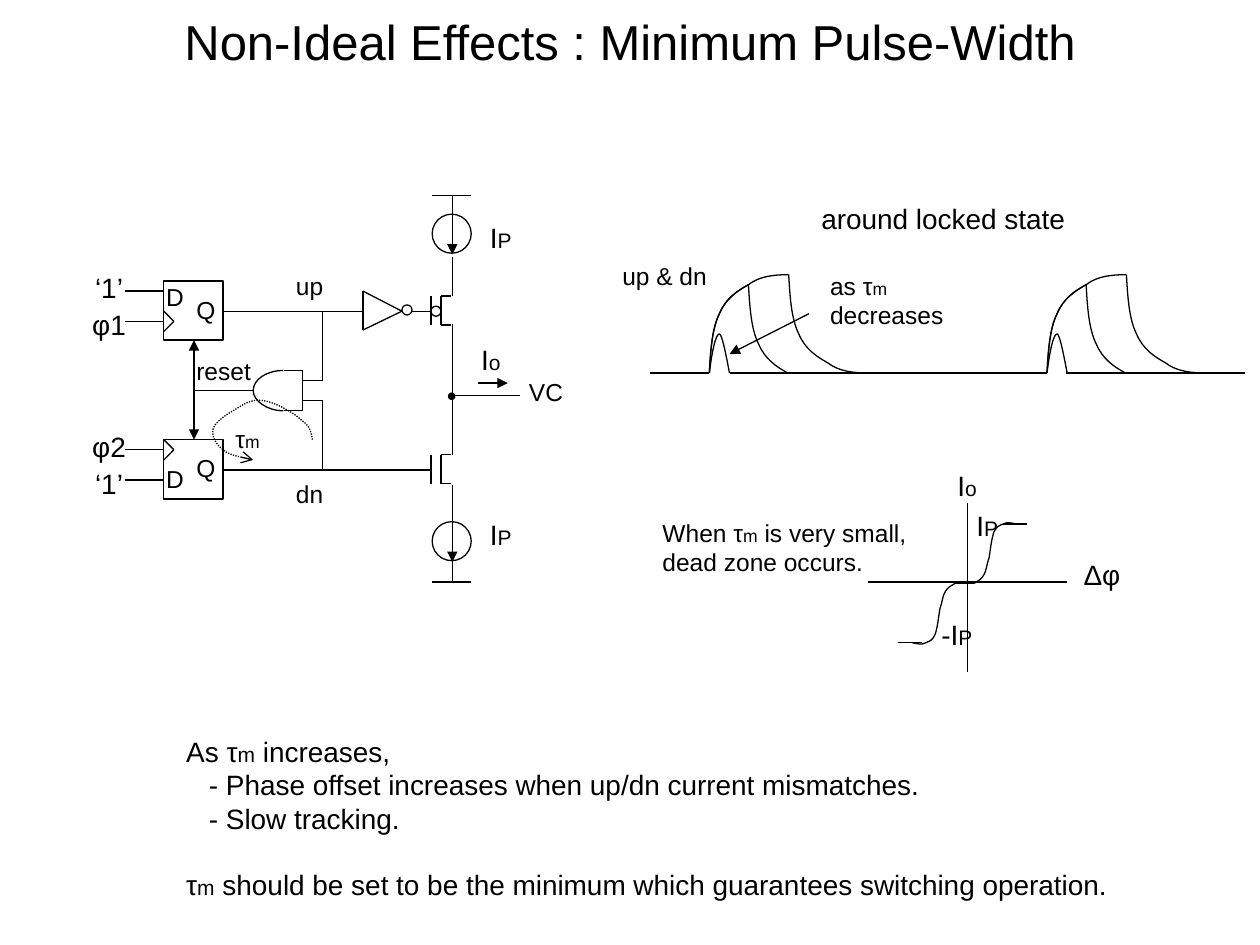
from dataclasses import dataclass
from typing import Any

from lxml.etree import SubElement
from pptx import Presentation
from pptx.dml.color import RGBColor
from pptx.enum.dml import MSO_LINE
from pptx.enum.shapes import MSO_CONNECTOR, MSO_SHAPE
from pptx.enum.text import PP_ALIGN
from pptx.oxml.ns import qn
from pptx.util import Pt

PX = 9144  # 100 px to the inch
INK = "000000"


def color(hex_value):
    return RGBColor.from_string(hex_value)


def outline(sp, head=None, tail=None, dash=None):
    sp.line.color.rgb = color(INK)
    sp.line.width = Pt(0.75)
    if dash:
        sp.line.dash_style = dash
    ln = sp._element.spPr.find(qn("a:ln"))
    for tag, kind in (("a:headEnd", head), ("a:tailEnd", tail)):
        if kind:
            SubElement(ln, qn(tag)).set("type", kind)


@dataclass
class Region:
    """A part of the slide with its own origin, in px."""
    s: Any
    x: int
    y: int

    def at(self, dx, dy):
        return Region(self.s, self.x + dx, self.y + dy)

    def emu(self, x, y):
        return (self.x + x) * PX, (self.y + y) * PX

    def line(self, x1, y1, x2, y2, head=None, tail=None):
        sp = self.s.shapes.add_connector(
            MSO_CONNECTOR.STRAIGHT, *self.emu(x1, y1), *self.emu(x2, y2))
        outline(sp, head, tail)
        SubElement(sp._element.spPr, qn("a:effectLst"))

    def shape(self, kind, x, y, size, fill=None):
        sp = self.s.shapes.add_shape(kind, *self.emu(x, y), size * PX, size * PX)
        sp.shadow.inherit = False
        if fill:
            sp.fill.solid()
            sp.fill.fore_color.rgb = color(fill)
        else:
            sp.fill.background()
        outline(sp)

    def curve(self, points, tail=None, dash=None):
        """Start point, then three points for each Bezier segment."""
        start, *rest = [(self.x + x, self.y + y) for x, y in points]
        builder = self.s.shapes.build_freeform(*start, scale=PX)
        builder.add_line_segments(rest, close=False)
        sp = builder.convert_to_shape()
        path = next(sp._element.iter(qn("a:path")))
        steps = path.findall(qn("a:lnTo"))
        for i in range(0, len(steps), 3):
            bezier = SubElement(path, qn("a:cubicBezTo"))
            for step in steps[i:i + 3]:
                bezier.append(step[0])
                path.remove(step)
        sp.shadow.inherit = False
        sp.fill.background()
        outline(sp, tail=tail, dash=dash)

    def text(self, x, y, w, h, lines, size=14, align=PP_ALIGN.LEFT, wrap=True):
        """Text between bars is set four points smaller."""
        box = self.s.shapes.add_textbox(*self.emu(x, y), w * PX, h * PX)
        tf = box.text_frame
        tf.word_wrap = wrap
        for i, line in enumerate(lines.split("\n")):
            p = tf.paragraphs[0] if i == 0 else tf.add_paragraph()
            p.alignment = align
            p.font.name, p.font.size = "Arial", Pt(size)
            p.font.color.rgb = color(INK)
            for j, part in enumerate(line.split("|")):
                if part:
                    r = p.add_run()
                    r.text = part
                    if j % 2:
                        r.font.size = Pt(size - 4)
        return tf

    def label(self, x, y, w, words):
        self.text(x, y, w, 37, words, 16, PP_ALIGN.CENTER)


def flip_flop(box, clock, clock_low):
    box.shape(MSO_SHAPE.RECTANGLE, 0, 0, 47)
    clock_y, data_y = (32, 8) if clock_low else (8, 32)
    clock_text, data_text = (16, -13) if clock_low else (-13, 16)
    for dy in (-8, 8):
        box.line(0, clock_y + dy, 8, clock_y)
    for y in (clock_y, data_y):
        box.line(-31, y, 0, y)
    box.text(-8, -4 if clock_low else 14, 39, 33, "D")
    box.text(16, 6, 39, 33, "Q")
    box.label(-71, clock_text, 55, clock)
    box.label(-71, data_text, 55, "‘1’")


def current_source(box, rail_y, wire_y, label_y):
    box.line(0, rail_y, 31, rail_y)
    box.line(16, wire_y, 16, rail_y)
    box.shape(MSO_SHAPE.OVAL, 0, 0, 31)
    box.line(16, 0, 16, 32, tail="triangle")
    box.label(31, label_y, 47, "I|P")


def transistor(box):
    for x in (0, 8):
        box.line(x, 0, x, 23)
    for y in (0, 23):
        box.line(8, y, 16, y)


def inverter(box):
    box.line(0, 0, 0, 31)
    box.line(0, 0, 31, 16)
    box.line(0, 31, 31, 16)
    box.shape(MSO_SHAPE.OVAL, 31, 11, 8)


def and_gate(box):
    box.curve([(24, 0), (11, 0), (0, 7), (0, 16), (0, 24), (11, 32), (24, 32)])
    for y in (0, 32):
        box.line(24, y, 39, y)
    box.line(39, 0, 39, 32)


def circuit(box):
    flip_flop(box.at(80, 73), "φ1", clock_low=True)
    flip_flop(box.at(80, 199), "φ2", clock_low=False)
    inverter(box.at(238, 81))
    and_gate(box.at(151, 144))
    # Output branch
    current_source(box.at(293, 20), -15, 0, 0)
    current_source(box.at(293, 264), 48, 31, -8)
    transistor(box.at(292, 85))
    box.shape(MSO_SHAPE.OVAL, 292, 93, 8)
    transistor(box.at(292, 211))
    for top, bottom in ((54, 85), (107, 211), (235, 266)):
        box.line(309, top, 309, bottom)
    box.line(309, 164, 363, 164)
    box.shape(MSO_SHAPE.OVAL, 306, 162, 5, INK)
    box.text(360, 144, 47, 33, "VC", wrap=False)
    box.line(329, 154, 353, 154, tail="triangle")
    box.label(316, 117, 47, "I|o")
    # Up, down and reset wires
    box.line(127, 97, 238, 97)
    box.line(277, 97, 293, 97)
    box.line(127, 223, 293, 223)
    for wire_y, gate_y in ((97, 152), (223, 168)):
        box.line(206, wire_y, 206, gate_y)
        box.line(190, gate_y, 206, gate_y)
    box.line(104, 199, 104, 120, head="triangle", tail="triangle")
    box.line(104, 160, 151, 160)
    box.text(175, 60, 55, 33, "up")
    box.text(175, 225, 55, 33, "dn")
    box.text(96, 128, 71, 33, "reset")
    # Delay loop
    box.curve([(198, 199), (197, 194), (197, 189), (190, 184), (184, 178),
               (168, 169), (159, 168), (149, 166), (142, 172), (135, 176),
               (128, 180), (120, 186), (119, 191), (118, 197), (122, 203),
               (127, 207), (132, 211), (142, 213), (151, 215)],
              tail="arrow", dash=MSO_LINE.ROUND_DOT)
    box.text(127, 182, 47, 33, "τ|m")


def pulse(box):
    rise = [(0, 0), (1, -17), (2, -35), (8, -47), (13, -59), (22, -65),
            (31, -70), (40, -77), (52, -78), (63, -78)]
    for count in (10, 7):  # wide and medium pulse
        edge = rise[:count]
        top_x, top_y = edge[-1]
        box.curve(edge)
        box.curve([(top_x + x, top_y - y) for x, y in edge])
    box.curve([(0, 0), (2, -16), (5, -31), (8, -31), (10, -31), (13, -16), (16, 0)])


def waveforms(box):
    for x in (47, 315):
        pulse(box.at(x, 141))
    for start, end in ((0, 47), (63, 268), (268, 315), (330, 472),
                       (110, 268), (378, 472), (173, 268), (441, 472)):
        box.line(start, 141, end, 141)
    box.line(126, 94, 63, 126, tail="triangle")
    box.text(126, 0, 220, 37, "around locked state", 16)
    box.text(-32, 47, 102, 33, "up & dn")
    box.text(133, 55, 134, 57, "as τ|m |decreases")


def dead_zone(box):
    box.line(173, 95, 331, 95)
    box.line(252, 32, 252, 166)
    half = [(0, 0), (3, -2), (6, -3), (8, -7), (10, -10), (10, -15), (12, -20),
            (13, -26), (14, -36), (16, -41), (18, -45), (20, -46), (23, -47),
            (26, -49), (30, -48), (34, -47)]
    for start, flat, sign in ((257, 280, 1), (242, 216, -1)):
        box.curve([(start + sign * x, 96 + sign * y) for x, y in half])
        box.line(flat, 96 - 47 * sign, flat + 19 * sign, 96 - 47 * sign)
    box.line(257, 96, 242, 96)
    box.label(228, 0, 47, "I|o")
    box.label(244, 32, 47, "I|P")
    box.label(220, 118, 47, "-I|P")
    box.label(331, 71, 55, "Δφ")
    box.text(0, 39, 236, 57, "When τ|m| is very small, dead zone occurs.")


def notes(box):
    tf = box.text(0, 0, 756, 144, "\n".join([
        "As τ|m| increases,",
        "- Phase offset increases when up/dn current mismatches.",
        "- Slow tracking.",
        "τ|m| should be set to be the minimum which guarantees switching operation."]), 16)
    for p in tf.paragraphs[1:3]:
        p._p.get_or_add_pPr().set("marL", str(18 * PX))
    tf.paragraphs[3].space_before = Pt(18.4)


def main():
    prs = Presentation()
    prs.slide_width, prs.slide_height = 1000 * PX, 750 * PX
    s = prs.slides.add_slide(prs.slide_layouts[6])
    Region(s, 0, 4).text(0, 0, 1000, 57, "Non-Ideal Effects : Minimum Pulse-Width",
                         28, PP_ALIGN.CENTER)
    circuit(Region(s, 50, 150))
    waveforms(Region(s, 516, 155))
    dead_zone(Region(s, 516, 367))
    notes(Region(s, 138, 578))
    prs.save("out.pptx")


if __name__ == "__main__":
    main()
